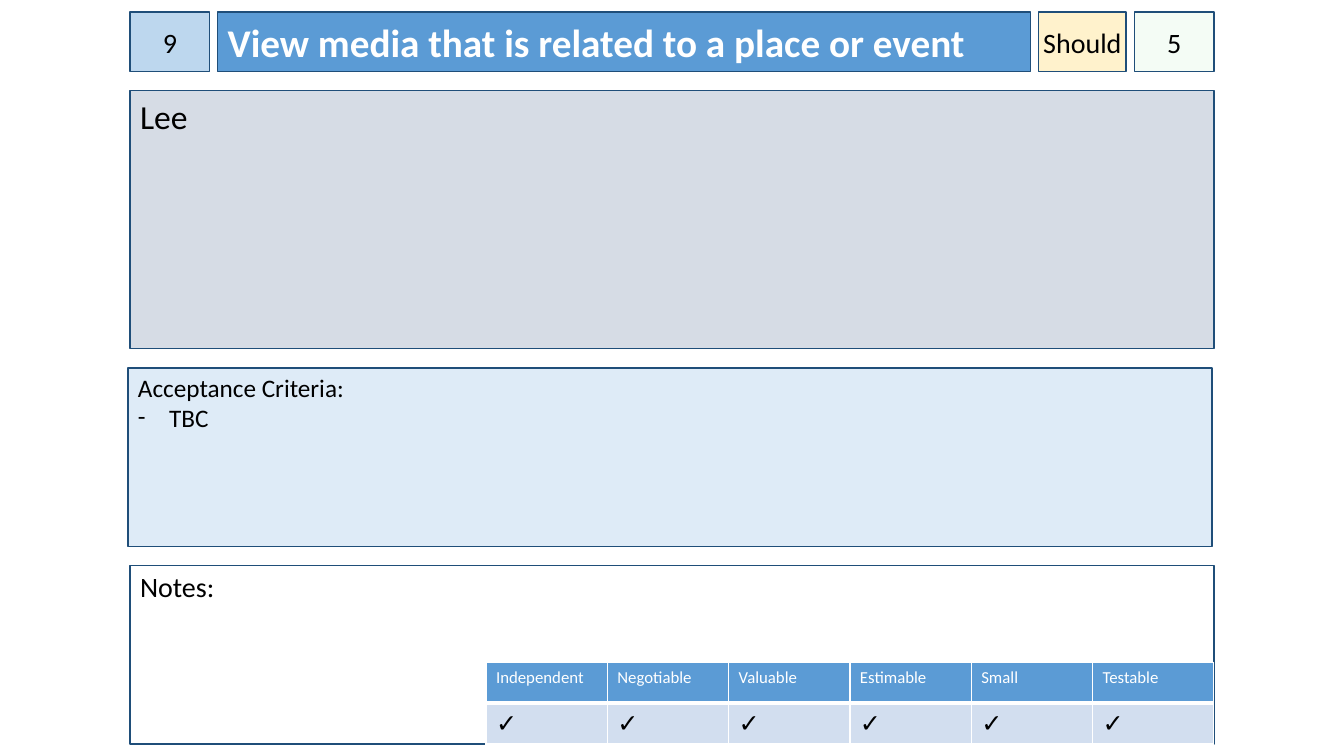
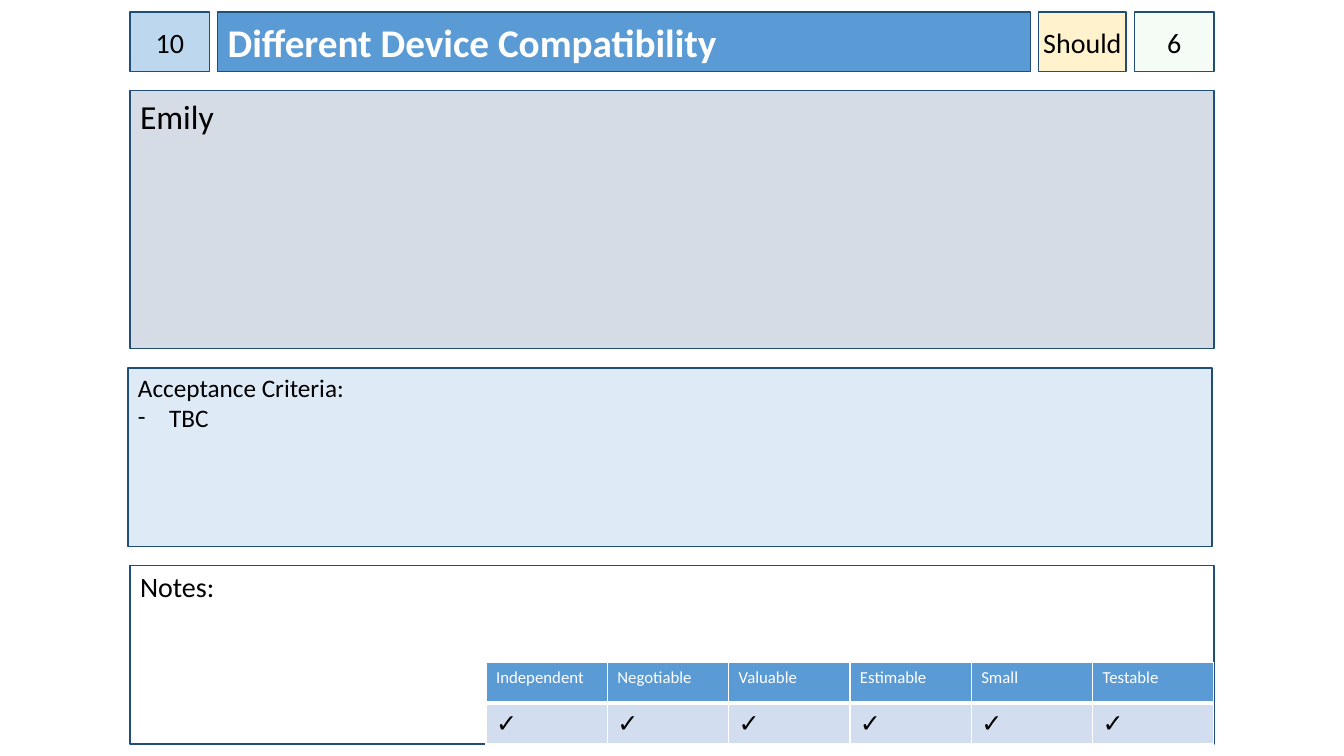
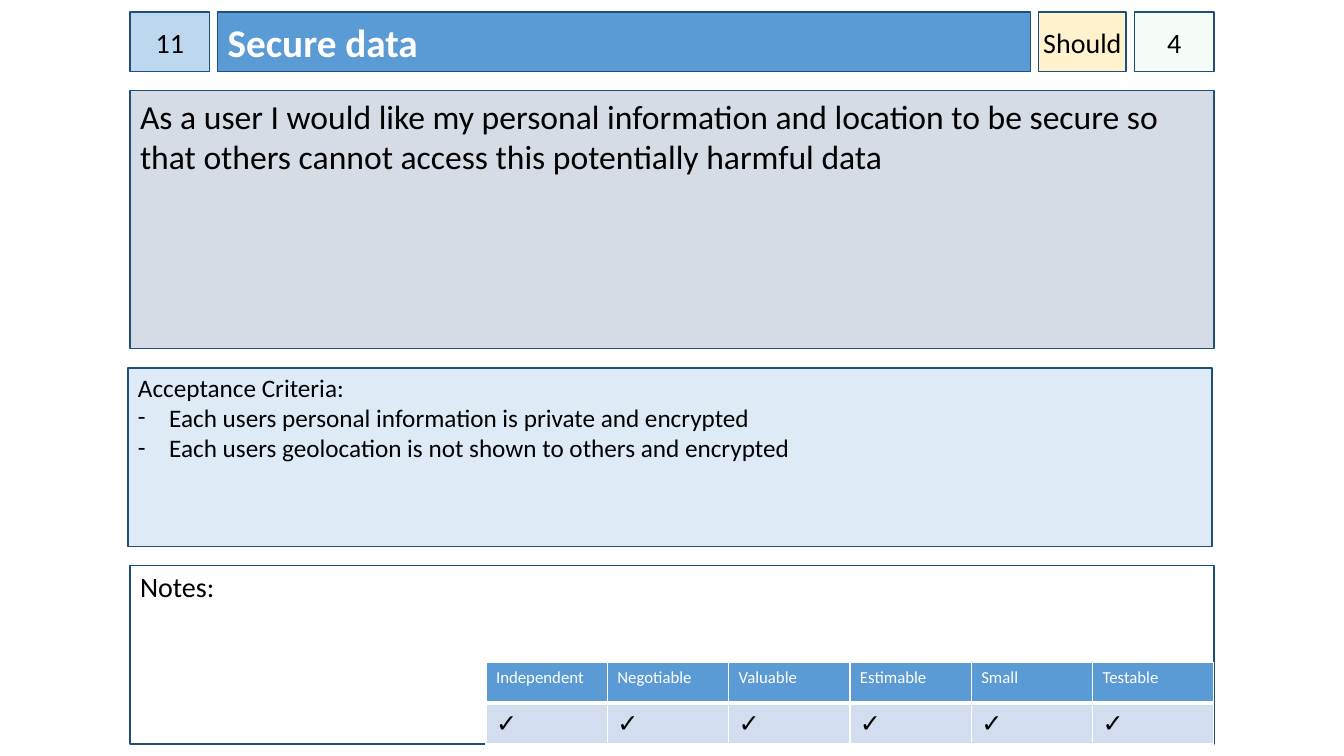
from lxml import etree
from pptx import Presentation
from pptx.dml.color import RGBColor
from pptx.enum.shapes import MSO_SHAPE
from pptx.enum.text import MSO_ANCHOR, PP_ALIGN
from pptx.oxml.ns import qn
from pptx.util import Inches, Pt

RECTANGLE = MSO_SHAPE.RECTANGLE
TOP, MIDDLE = MSO_ANCHOR.TOP, MSO_ANCHOR.MIDDLE
LEFT, CENTER = PP_ALIGN.LEFT, PP_ALIGN.CENTER

FONT = "Calibri"
BLACK, WHITE = "000000", "FFFFFF"
NAVY, BLUE = "1F4E79", "5B9BD5"
NUMBER_FILL, STORY_FILL, CRITERIA_FILL = "BDD7EE", "D6DCE5", "DEEBF7"
PRIORITY_FILL, POINTS_FILL, CHECK_FILL = "FFF2CC", "CCF0CD", "D2DEEF"

CARD_LEFT, CARD_WIDTH = 1.29, 10.75
HEADER_BOX = (CARD_LEFT, 0.12, CARD_WIDTH, 0.59)
STORY_BOX = (CARD_LEFT, 0.9, CARD_WIDTH, 2.56)
CRITERIA_BOX = (CARD_LEFT - 0.02, 3.65, CARD_WIDTH, 1.77)
NOTES_BOX = (CARD_LEFT, 5.61, CARD_WIDTH, 1.77)

SQUARE_WIDTH, PRIORITY_WIDTH, HEADER_GAP = 0.79, 0.87, 0.08
CHECKLIST_WIDTH, CHECKLIST_HEIGHT = 7.22, 0.81
TIGHT_SIDES = (0, 0.05, 0, 0.05)
TIGHT_TOP = (0.1, 0.04, 0.1, 0.05)
BULLET_INDENT = 0.31

QUALITIES = ["Independent", "Negotiable", "Valuable", "Estimable", "Small", "Testable"]
STORIES = [
    dict(number="9", title="View media that is related to a place or event",
         priority="Should", points="5", story="Lee", criteria=["TBC"]),
    dict(number="10", title="Different Device Compatibility",
         priority="Should", points="6", story="Emily", criteria=["TBC"]),
    dict(number="11", title="Secure data", priority="Should", points="4",
         story="As a user I would like my personal information and location to be "
               "secure so that others cannot access this potentially harmful data",
         criteria=["Each users personal information is private and encrypted",
                   "Each users geolocation is not shown to others and encrypted"]),
]


def rgb(value):
    return RGBColor.from_string(value)


def add_text(paragraph, text, size=20, color=BLACK, bold=False, align=LEFT):
    paragraph.alignment = align
    run = paragraph.add_run()
    run.text = text
    run.font.name = FONT
    run.font.size = Pt(size)
    run.font.bold = bold
    run.font.color.rgb = rgb(color)


def add_bullet(paragraph):
    properties = paragraph._p.get_or_add_pPr()
    properties.set("marL", str(Inches(BULLET_INDENT)))
    properties.set("indent", str(-Inches(BULLET_INDENT)))
    etree.SubElement(properties, qn("a:buFont"), typeface=FONT)
    etree.SubElement(properties, qn("a:buChar"), char="-")


def add_panel(slide, box, text, fill, opacity=100, anchor=TOP,
              margins=(0.1, 0.05, 0.1, 0.05), wrap=True, **text_format):
    shape = slide.shapes.add_shape(RECTANGLE, *map(Inches, box))
    shape.shadow.inherit = False
    shape.fill.solid()
    shape.fill.fore_color.rgb = rgb(fill)
    if opacity < 100:
        color = shape._element.spPr.find(qn("a:solidFill"))[0]
        etree.SubElement(color, qn("a:alpha"), val=str(opacity * 1000))
    shape.line.color.rgb = rgb(NAVY)
    shape.line.width = Pt(1)
    frame = shape.text_frame
    frame.word_wrap = wrap
    frame.vertical_anchor = anchor
    (frame.margin_left, frame.margin_top,
     frame.margin_right, frame.margin_bottom) = map(Inches, margins)
    add_text(frame.paragraphs[0], text, **text_format)
    return frame


def set_borders(cell, bottom_width):
    widths = {"a:lnL": 1, "a:lnR": 1, "a:lnT": 1, "a:lnB": bottom_width}
    properties = cell._tc.get_or_add_tcPr()
    for position, (side, width) in enumerate(widths.items()):
        line = etree.Element(qn(side), w=str(Pt(width)))
        fill = etree.SubElement(line, qn("a:solidFill"))
        etree.SubElement(fill, qn("a:srgbClr"), val=WHITE)
        properties.insert(position, line)


def add_header(slide, box, number, title, priority, points):
    left, top, width, height = box
    title_width = width - 2 * SQUARE_WIDTH - PRIORITY_WIDTH - 3 * HEADER_GAP
    badge = dict(margins=TIGHT_SIDES, align=CENTER)
    cells = [
        (SQUARE_WIDTH, number, dict(badge, fill=NUMBER_FILL)),
        (title_width, title, dict(fill=BLUE, size=28, color=WHITE, bold=True)),
        (PRIORITY_WIDTH, priority, dict(badge, fill=PRIORITY_FILL, wrap=False)),
        (SQUARE_WIDTH, points, dict(badge, fill=POINTS_FILL, opacity=20)),
    ]
    for cell_width, text, style in cells:
        add_panel(slide, (left, top, cell_width, height), text, anchor=MIDDLE, **style)
        left += cell_width + HEADER_GAP


def add_criteria(slide, box, criteria):
    frame = add_panel(slide, box, "Acceptance Criteria:", CRITERIA_FILL,
                      margins=TIGHT_TOP, size=18)
    for criterion in criteria:
        paragraph = frame.add_paragraph()
        add_text(paragraph, criterion, size=18)
        add_bullet(paragraph)


def add_checklist(slide, box):
    table = slide.shapes.add_table(2, len(QUALITIES), *map(Inches, box)).table
    rows = [
        (QUALITIES, BLUE, 3, dict(size=12, color=WHITE)),
        (["✓"] * len(QUALITIES), CHECK_FILL, 1, dict(size=18)),
    ]
    for row, (texts, fill, bottom_width, text_format) in enumerate(rows):
        for column, text in enumerate(texts):
            cell = table.cell(row, column)
            cell.fill.solid()
            cell.fill.fore_color.rgb = rgb(fill)
            set_borders(cell, bottom_width)
            add_text(cell.text_frame.paragraphs[0], text, **text_format)


def add_notes(slide, box):
    left, top, width, height = box
    add_panel(slide, box, "Notes:", WHITE, margins=TIGHT_TOP)
    # The checklist sits in the lower right corner of the notes
    add_checklist(slide, (left + width - CHECKLIST_WIDTH,
                          top + height - CHECKLIST_HEIGHT,
                          CHECKLIST_WIDTH, CHECKLIST_HEIGHT))


def add_story_card(presentation, story, criteria, **header):
    slide = presentation.slides.add_slide(presentation.slide_layouts[6])
    add_header(slide, HEADER_BOX, **header)
    add_panel(slide, STORY_BOX, story, STORY_FILL, size=24)
    add_criteria(slide, CRITERIA_BOX, criteria)
    add_notes(slide, NOTES_BOX)


presentation = Presentation()
presentation.slide_width = Inches(13.33)
presentation.slide_height = Inches(7.5)
for card in STORIES:
    add_story_card(presentation, **card)
presentation.save("out.pptx")
